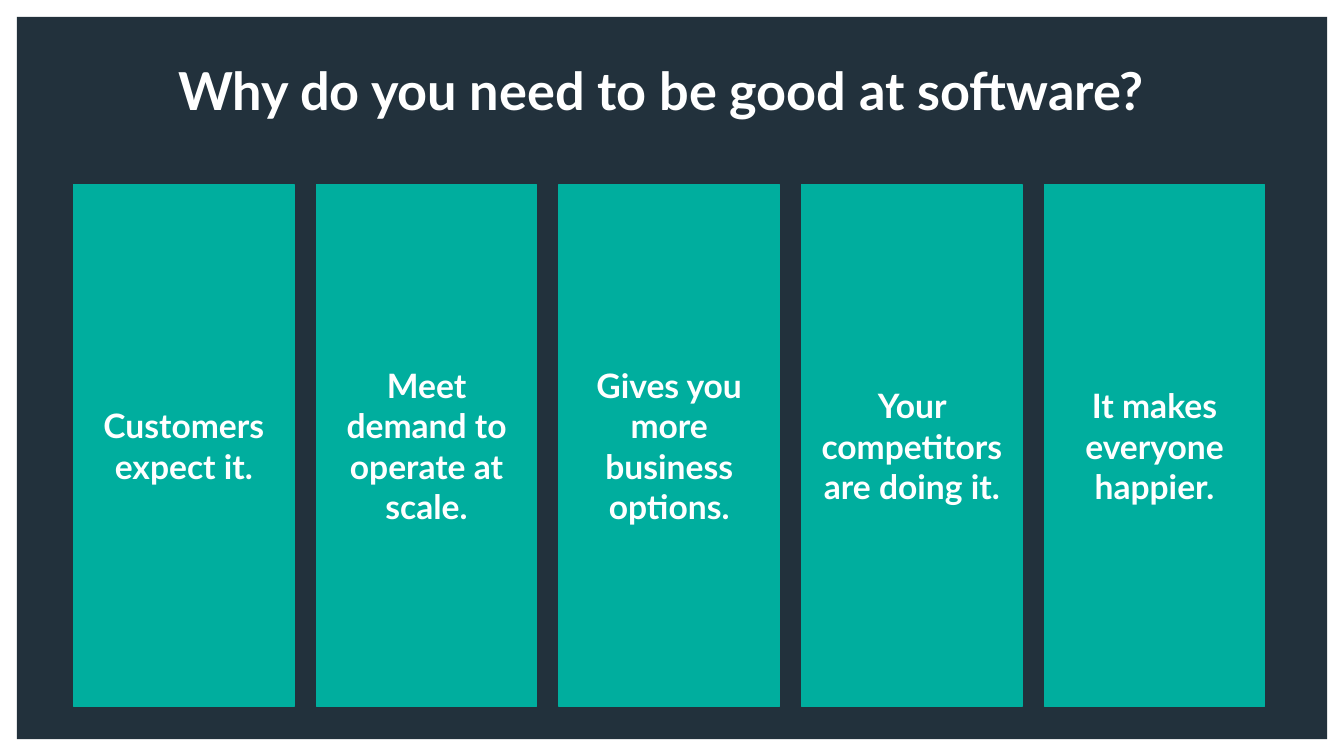
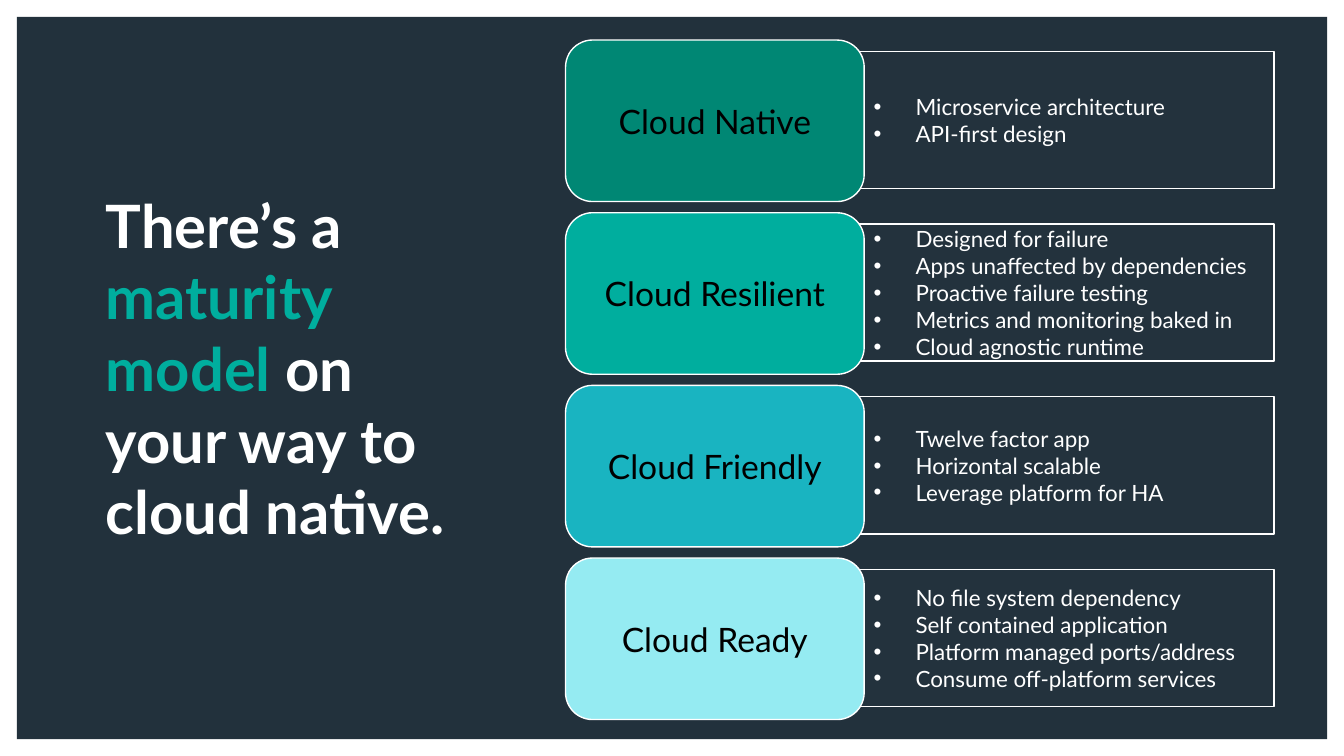
from lxml import etree
from pptx import Presentation
from pptx.dml.color import RGBColor
from pptx.enum.shapes import MSO_SHAPE
from pptx.enum.text import MSO_ANCHOR, MSO_AUTO_SIZE, PP_ALIGN
from pptx.oxml.ns import qn
from pptx.util import Pt

RECT, ROUND = MSO_SHAPE.RECTANGLE, MSO_SHAPE.ROUNDED_RECTANGLE
TOP, MIDDLE = MSO_ANCHOR.TOP, MSO_ANCHOR.MIDDLE
LEFT, CENTER = PP_ALIGN.LEFT, PP_ALIGN.CENTER

FONT = "Lato"
WHITE = RGBColor(0xFF, 0xFF, 0xFF)
BLACK = RGBColor(0x00, 0x00, 0x00)
NAVY = RGBColor(0x22, 0x31, 0x3C)
SLATE = RGBColor(0x23, 0x32, 0x3D)
TEAL = RGBColor(0x00, 0xAE, 0x9E)
GREEN = RGBColor(0x00, 0x87, 0x74)
BLUE = RGBColor(0x19, 0xB4, 0xC1)
PALE = RGBColor(0x95, 0xEB, 0xF2)


def add_box(shapes, kind, x, y, w, h, fill, line):
    box = shapes.add_shape(kind, Pt(x), Pt(y), Pt(w), Pt(h))
    box.shadow.inherit = False
    box.fill.solid()
    box.fill.fore_color.rgb = fill
    box.line.color.rgb = line
    box.line.width = Pt(0.75)
    return box


def set_text(shape, text, size, color, bold=False, align=CENTER, anchor=MIDDLE):
    """Fill the shape with one paragraph per line of text."""
    frame = shape.text_frame
    frame.text = text
    frame.word_wrap = True
    frame.auto_size = MSO_AUTO_SIZE.NONE
    frame.vertical_anchor = anchor
    for para in frame.paragraphs:
        para.alignment = align
        para.font.name = FONT
        para.font.size = Pt(size)
        para.font.bold = bold
        para.font.color.rgb = color
    return frame


prs = Presentation()
prs.slide_width, prs.slide_height = Pt(720), Pt(405)
layout = prs.slide_layouts[5]

# Slide 1: reasons
slide = prs.slides.add_slide(layout)

# The dark panel moves to the master, behind everything on both slides
panel = add_box(slide.shapes, RECT, 9, 9, 702, 387, NAVY, NAVY)
panel.line.fill.background()
prs.slide_master.shapes.element.insert(2, panel.element)

title = slide.shapes.title
title.left, title.top, title.width, title.height = Pt(39.5), Pt(27.5), Pt(629), Pt(47.5)
set_text(title, "Why do you need to be good at software?", 28, WHITE, True, anchor=TOP)

reasons = [
    "Customers expect it.",
    "Meet demand to operate at scale.",
    "Gives you more business options.",
    "Your competitors are doing it.",
    "It makes everyone happier.",
]
for i, reason in enumerate(reasons):
    bar = add_box(slide.shapes, RECT, 39.5 + 130 * i, 99, 118, 279.5, TEAL, TEAL)
    set_text(bar, reason, 18, WHITE, True)

# Slide 2: maturity model
slide = prs.slides.add_slide(layout)
title = slide.shapes.title
title.left, title.top, title.width, title.height = Pt(49.5), Pt(67.5), Pt(218), Pt(259)
frame = set_text(title, "There’s a ", 32, WHITE, True, LEFT)
para = frame.paragraphs[0]
accent = para.add_run()
accent.text = "maturity model "
accent.font.color.rgb = TEAL
para.add_run().text = "on your way to cloud native."

levels = [
    ("Cloud Native", GREEN, ["Microservice architecture", "API-first design"]),
    ("Cloud Resilient", TEAL, [
        "Designed for failure",
        "Apps unaffected by dependencies",
        "Proactive failure testing",
        "Metrics and monitoring baked in",
        "Cloud agnostic runtime",
    ]),
    ("Cloud Friendly", BLUE, [
        "Twelve factor app",
        "Horizontal scalable",
        "Leverage platform for HA",
    ]),
    ("Cloud Ready", PALE, [
        "No file system dependency",
        "Self contained application",
        "Platform managed ports/address",
        "Consume off-platform services",
    ]),
]
for i, (name, color, traits) in enumerate(levels):
    y = 21.5 + 92.5 * i
    row = slide.shapes.add_group_shape()
    box = add_box(row.shapes, RECT, 446.5, y + 6, 236, 73.5, SLATE, WHITE)
    box.text_frame.text = "\n".join(traits)
    box.text_frame.margin_left = Pt(21.5)
    for para in box.text_frame.paragraphs:
        props = para._p.get_or_add_pPr()
        props.set("marL", str(Pt(22.5)))
        props.set("indent", str(-Pt(22.5)))
        tint = etree.SubElement(props, qn("a:buClr"))
        etree.SubElement(tint, qn("a:srgbClr"), val=str(WHITE))
        etree.SubElement(props, qn("a:buFont"), typeface="Arial")
        etree.SubElement(props, qn("a:buChar"), char="•")
        para.alignment = LEFT
        para.font.name = FONT
        para.font.size = Pt(12)
        para.font.color.rgb = WHITE
    box.text_frame.word_wrap = True
    box.text_frame.vertical_anchor = MIDDLE

    label = add_box(row.shapes, ROUND, 303, y, 160, 86.5, color, WHITE)
    label.adjustments[0] = 0.167
    set_text(label, name, 18, BLACK)

prs.save("out.pptx")
